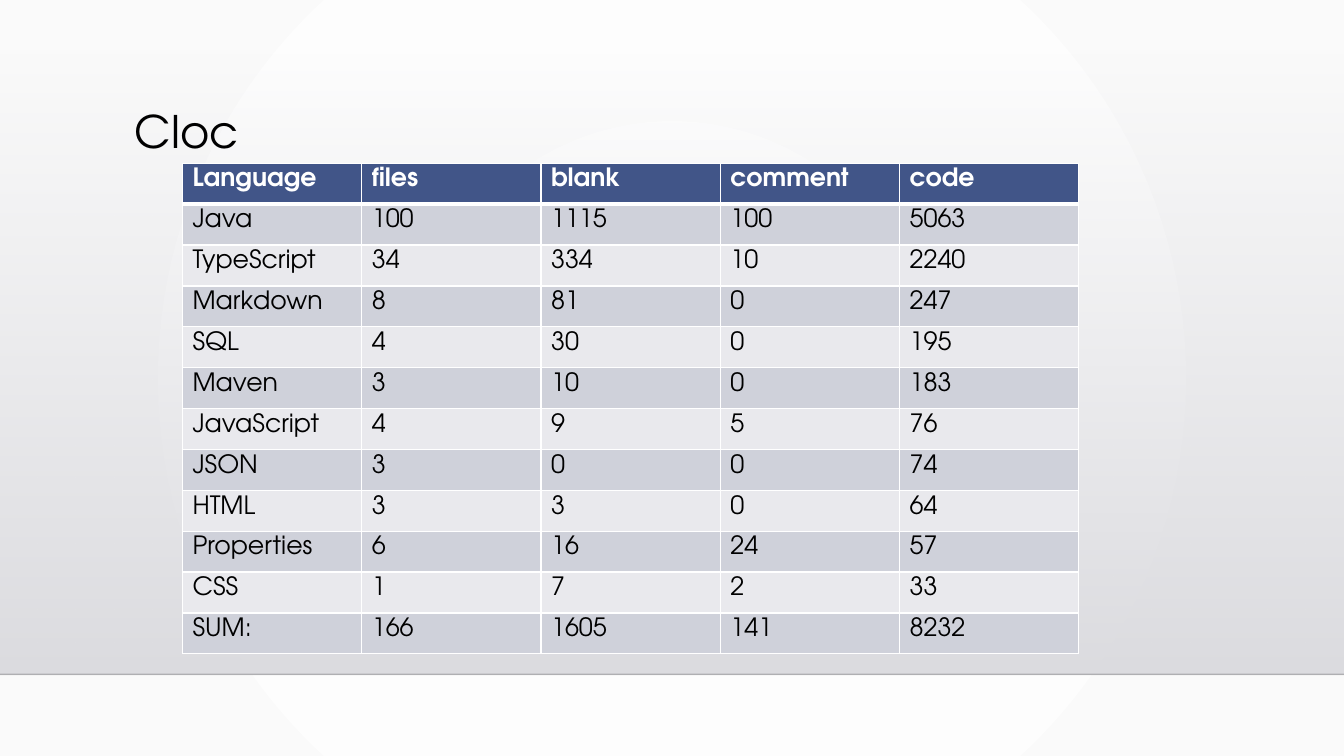
"""Build the Cloc slide: lines of code by language."""
from lxml import etree
from pptx import Presentation, util as u
from pptx.dml.color import RGBColor
from pptx.enum import shapes, text
from pptx.oxml import ns

HEADING = "Cloc"
COUNTS = [
    ("Language", "files", "blank", "comment", "code"),
    ("Java", 100, 1115, 100, 5063),
    ("TypeScript", 34, 334, 10, 2240),
    ("Markdown", 8, 81, 0, 247),
    ("SQL", 4, 30, 0, 195),
    ("Maven", 3, 10, 0, 183),
    ("JavaScript", 4, 9, 5, 76),
    ("JSON", 3, 0, 0, 74),
    ("HTML", 3, 3, 0, 64),
    ("Properties", 6, 16, 24, 57),
    ("CSS", 1, 7, 2, 33),
    ("SUM:", 166, 1605, 141, 8232),
]
FONT = "TeX Gyre Adventor"
WHITE = RGBColor(0xFF, 0xFF, 0xFF)
PAPER = RGBColor(0xFA, 0xFA, 0xFA)
BLACK = RGBColor(0, 0, 0)
HEADER_BLUE = RGBColor(0x41, 0x55, 0x88)
BANDS = RGBColor(0xE9, 0xE9, 0xED), RGBColor(0xCF, 0xD1, 0xDA)
WALL_TOP = RGBColor(0xDC, 0xDC, 0xE0)
WALL_BOTTOM = RGBColor(0xDE, 0xDE, 0xE2)
WIDTH, HEIGHT = u.Inches(13.33), u.Inches(7.5)
WALL_START, FLOOR = u.Inches(0.51), u.Inches(6.69)
TABLE_LEFT, TABLE_TOP = u.Inches(1.81), u.Inches(1.62)
TABLE_WIDTH, TABLE_HEIGHT = u.Inches(8.89), u.Inches(4.87)


def add_xml(parent, tag, **attributes):
    return etree.SubElement(parent, ns.qn(tag), attributes)


def set_gradient(fill, *colours):
    fill.gradient()
    for stop, position, colour in zip(fill.gradient_stops, (0, 1), colours):
        stop.color.rgb = colour
        stop.position = position


def set_opacity(element, percent):
    colour = next(element.iter(ns.qn("a:srgbClr")))
    add_xml(colour, "a:alpha", val=str(percent * 1000))


def style(paragraph, size, colour, bold=False):
    for run in paragraph.runs:
        run.font.name, run.font.size = FONT, u.Pt(size)
        run.font.color.rgb, run.font.bold = colour, bold


def set_borders(cell, top, bottom):
    properties = cell._tc.get_or_add_tcPr()
    for index, (side, points) in enumerate(zip("LRTB", (1, 1, top, bottom))):
        border = add_xml(properties, f"a:ln{side}", w=str(u.Pt(points)))
        solid = add_xml(border, "a:solidFill")
        add_xml(solid, "a:srgbClr", val=str(WHITE))
        properties.insert(index, border)


deck = Presentation()
deck.slide_width, deck.slide_height = WIDTH, HEIGHT
slide = deck.slides.add_slide(deck.slide_layouts[6])

set_gradient(slide.background.fill, WHITE, PAPER)
direction = next(slide.background._cSld.iter(ns.qn("a:lin")))
radial = etree.Element(ns.qn("a:path"), {"path": "circle"})
add_xml(radial, "a:fillToRect", **dict.fromkeys("ltrb", "50000"))
direction.getparent().replace(direction, radial)

wall = slide.shapes.add_shape(
    shapes.MSO_SHAPE.RECTANGLE, 0, WALL_START, WIDTH, FLOOR - WALL_START)
wall.shadow.inherit = False
set_gradient(wall.fill, WALL_TOP, WALL_BOTTOM)
wall.fill.gradient_angle = 270
set_opacity(wall._element, 0)
wall.line.fill.background()

floor_edge = slide.shapes.add_connector(
    shapes.MSO_CONNECTOR.STRAIGHT, 0, FLOOR, WIDTH, FLOOR)
floor_edge.line.color.rgb = BLACK
floor_edge.line.width = u.Pt(1)
set_opacity(floor_edge._element, 20)
add_xml(floor_edge._element.spPr, "a:effectLst")

heading = slide.shapes.add_textbox(
    u.Inches(1.24), u.Inches(1.04), u.Inches(10.5), u.Inches(1.15)).text_frame
heading.word_wrap = True
heading.text = HEADING
heading.paragraphs[0].line_spacing = 0.9
style(heading.paragraphs[0], 32, BLACK)

columns, rows = len(COUNTS[0]), len(COUNTS)
table = slide.shapes.add_table(
    rows, columns, TABLE_LEFT, TABLE_TOP, TABLE_WIDTH, TABLE_HEIGHT).table
for r, counts in enumerate(COUNTS):
    is_header = r == 0
    for c, count in enumerate(counts):
        cell = table.cell(r, c)
        cell.text = str(count)
        cell.vertical_anchor = text.MSO_ANCHOR.TOP
        cell.fill.solid()
        cell.fill.fore_color.rgb = HEADER_BLUE if is_header else BANDS[r % 2]
        set_borders(cell, 3 if r == 1 else 1, 3 if is_header else 1)
        style(cell.text_frame.paragraphs[0], 18,
              WHITE if is_header else BLACK, is_header)

deck.save("out.pptx")
